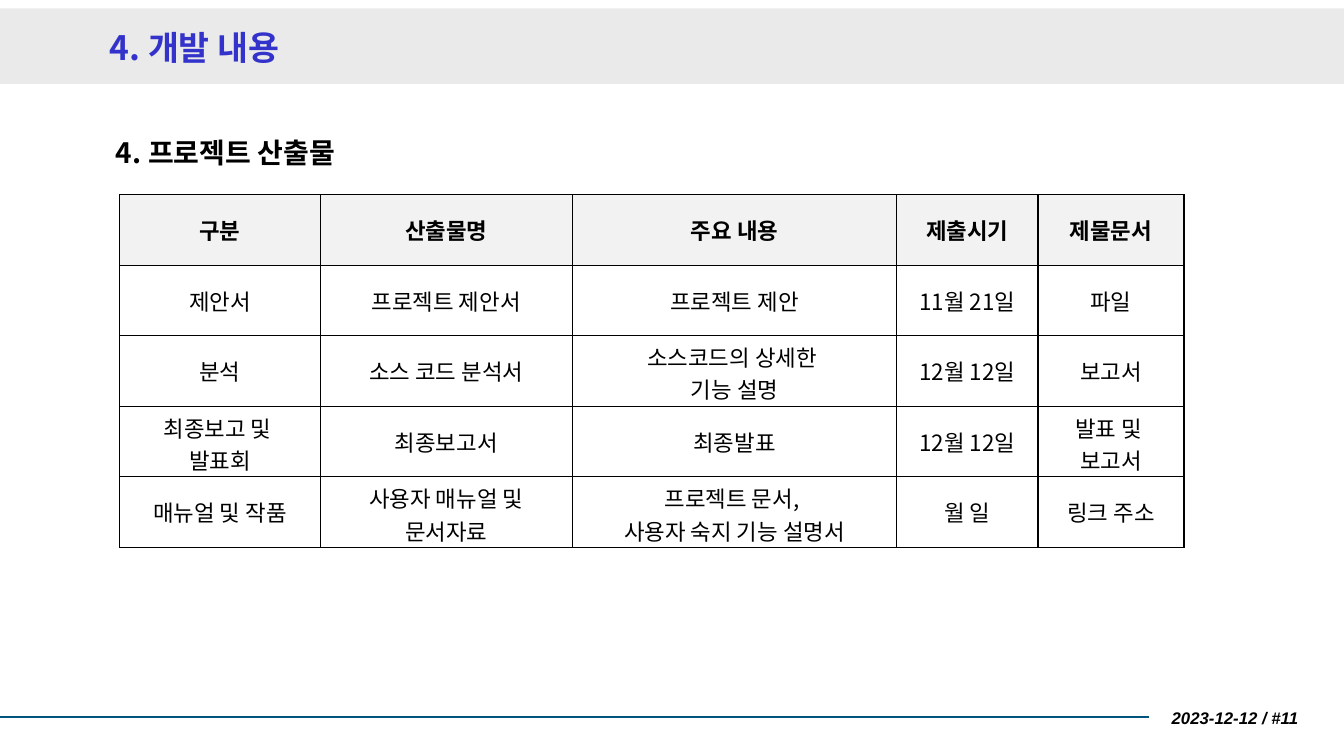
import dataclasses

import lxml.etree
import pptx
import pptx.dml.color
import pptx.enum.shapes
import pptx.enum.text
import pptx.oxml.ns
import pptx.util

Pt = pptx.util.Pt
RGB = pptx.dml.color.RGBColor.from_string
ALIGN = pptx.enum.text.PP_ALIGN
MIDDLE = pptx.enum.text.MSO_ANCHOR.MIDDLE
qn = pptx.oxml.ns.qn


@dataclasses.dataclass(frozen=True)
class Theme:
    """Colours, fonts and type sizes of the slide."""
    band: str = "EAEAEA"
    title: str = "3333CC"
    ink: str = "000000"
    rule: str = "00537C"
    header: str = "F2F2F2"
    korean: str = "Noto Sans CJK KR"
    latin: str = "Arial"
    title_size: int = 24
    heading_size: int = 20
    table_size: int = 16
    footer_size: int = 12


THEME = Theme()

COLUMN_WIDTHS = (143.3, 180, 231.8, 100.8, 104.4)
ROW_HEIGHT = 50.4
DELIVERABLES = (
    ("구분", "산출물명", "주요 내용", "제출시기", "제물문서"),
    ("제안서", "프로젝트 제안서", "프로젝트 제안", "11월 21일", "파일"),
    ("분석", "소스 코드 분석서", "소스코드의 상세한 \n기능 설명", "12월 12일", "보고서"),
    ("최종보고 및 \n발표회", "최종보고서", "최종발표", "12월 12일", "발표 및 \n보고서"),
    ("매뉴얼 및 작품", "사용자 매뉴얼 및\n문서자료",
     "프로젝트 문서, \n사용자 숙지 기능 설명서", "월 일", "링크 주소"),
)


def style_text(frame, size, color=THEME.ink, bold=True, italic=False,
               font=THEME.korean, align=ALIGN.LEFT):
    """Format every paragraph and run of a text frame."""
    for paragraph in frame.paragraphs:
        paragraph.alignment = align
        for run in paragraph.runs:
            run.font.size = Pt(size)
            run.font.bold = bold
            run.font.italic = italic
            run.font.color.rgb = RGB(color)
            run.font.name = font
            east_asian = lxml.etree.Element(qn("a:ea"), typeface=font)
            run.font._element.find(qn("a:latin")).addnext(east_asian)


def add_label(slide, text, box, size, wrap=True, anchor=MIDDLE, **style):
    """Add a text box at box (left, top, width, height)."""
    frame = slide.shapes.add_textbox(*map(Pt, box)).text_frame
    frame.word_wrap = wrap
    frame.vertical_anchor = anchor
    frame.text = text
    style_text(frame, size, **style)


def add_band(slide):
    """Add the grey band behind the title."""
    band = slide.shapes.add_shape(
        pptx.enum.shapes.MSO_SHAPE.RECTANGLE, Pt(0), Pt(6), Pt(960), Pt(54))
    band.shadow.inherit = False
    band.fill.solid()
    band.fill.fore_color.rgb = RGB(THEME.band)
    band.line.fill.background()


def add_footer_rule(slide):
    """Add the line to the left of the date and page number."""
    rule = slide.shapes.add_connector(
        pptx.enum.shapes.MSO_CONNECTOR.STRAIGHT, Pt(0), Pt(512), Pt(821), Pt(512))
    rule.line.color.rgb = RGB(THEME.rule)
    rule.line.width = Pt(1.5)
    lxml.etree.SubElement(rule._element.spPr, qn("a:effectLst"))


def border_cell(cell):
    """Draw a thin line on all four sides of a cell."""
    properties = cell._tc.get_or_add_tcPr()
    for side in ("a:lnL", "a:lnR", "a:lnT", "a:lnB"):
        edge = lxml.etree.SubElement(properties, qn(side), w=str(Pt(1)))
        fill = lxml.etree.SubElement(edge, qn("a:solidFill"))
        lxml.etree.SubElement(fill, qn("a:srgbClr"), val=THEME.ink)


def add_deliverables_table(slide):
    """Add the table of project deliverables."""
    table = slide.shapes.add_table(
        len(DELIVERABLES), len(COLUMN_WIDTHS), Pt(85.5), Pt(139),
        Pt(sum(COLUMN_WIDTHS)), Pt(ROW_HEIGHT * len(DELIVERABLES))).table
    table.horz_banding = False
    for column, width in zip(table.columns, COLUMN_WIDTHS):
        column.width = Pt(width)
    for row_index, entries in enumerate(DELIVERABLES):
        is_header = row_index == 0
        table.rows[row_index].height = Pt(ROW_HEIGHT)
        for column_index, entry in enumerate(entries):
            cell = table.cell(row_index, column_index)
            cell.vertical_anchor = MIDDLE
            border_cell(cell)
            if is_header:
                cell.fill.solid()
                cell.fill.fore_color.rgb = RGB(THEME.header)
            else:
                cell.fill.background()
            cell.text_frame.text = entry
            style_text(cell.text_frame, THEME.table_size, bold=is_header,
                       align=ALIGN.CENTER)


def main():
    """Build the slide and save it."""
    deck = pptx.Presentation()
    deck.slide_width, deck.slide_height = Pt(960), Pt(540)
    slide = deck.slides.add_slide(deck.slide_layouts[6])
    add_band(slide)
    add_label(slide, "2023-12-12 / #11", (814.5, 498, 120, 30),
              THEME.footer_size, wrap=False, italic=True, font=THEME.latin,
              align=ALIGN.RIGHT)
    add_footer_rule(slide)
    add_label(slide, "4. 개발 내용", (71.3, 12.2, 856.8, 42.5),
              THEME.title_size, color=THEME.title)
    add_label(slide, "4. 프로젝트 산출물", (75.8, 92.9, 726, 29.5),
              THEME.heading_size, anchor=pptx.enum.text.MSO_ANCHOR.TOP)
    add_deliverables_table(slide)
    deck.save("out.pptx")


main()
